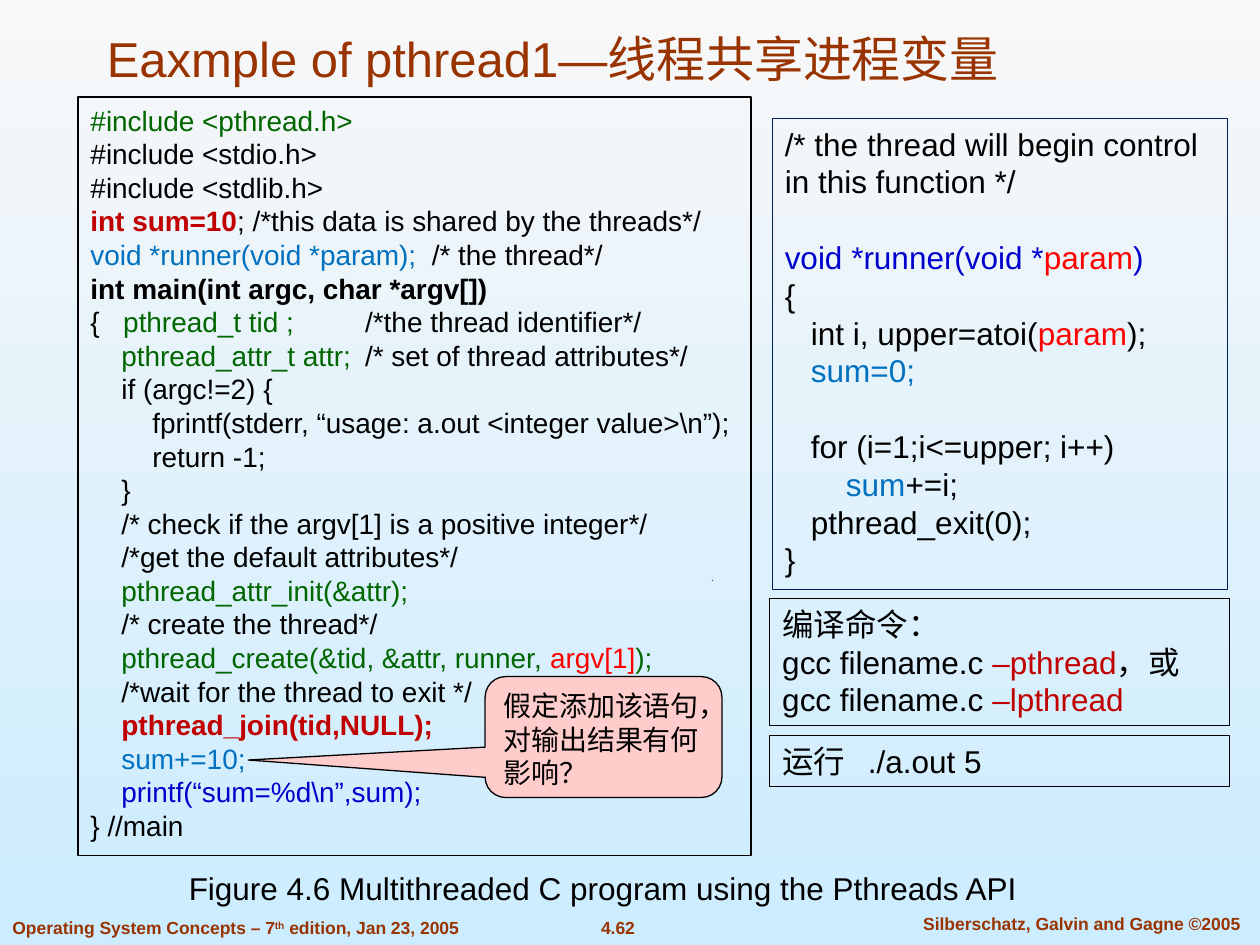
"""Build the slide on sharing process variables between Pthreads."""
import pptx
import pptx.dml.color
import pptx.enum.shapes
import pptx.enum.text
import pptx.oxml
import pptx.oxml.ns
import pptx.util

Color = pptx.dml.color.RGBColor
Inches = pptx.util.Inches
Shape = pptx.enum.shapes.MSO_SHAPE
Align = pptx.enum.text.PP_ALIGN
Anchor = pptx.enum.text.MSO_ANCHOR

BLACK = Color(0x00, 0x00, 0x00)
BROWN = Color(0x99, 0x33, 0x00)
GREEN = Color(0x00, 0x66, 0x00)
CRIMSON = Color(0xC0, 0x00, 0x00)
RED = Color(0xFF, 0x00, 0x00)
SKY = Color(0x00, 0x70, 0xC0)
BLUE = Color(0x00, 0x00, 0xCC)
NAVY = Color(0x00, 0x20, 0x60)
PINK = Color(0xFF, 0xCC, 0xCC)
PAPER = Color(0xF8, 0xF8, 0xF8)
ICE = Color(0xCC, 0xEC, 0xFF)

FONT = "Arial"
LEADING = 1.2
BOLD = {"bold": True}
SUPER = {"raised": True}

TITLE = "Eaxmple of pthread1—线程共享进程变量"
MAIN_CODE = [
    [("#include <pthread.h>", GREEN)],
    "#include <stdio.h>",
    "#include <stdlib.h>",
    [("int sum=10", CRIMSON, BOLD), "; /*this data is shared by the threads*/"],
    [("void *runner(void *param);\t", SKY), "/* the thread*/"],
    [("int main(int argc, char *argv[])", BLACK, BOLD)],
    ["{\t", ("pthread_t tid ;\t", GREEN), "/*the thread identifier*/"],
    [("    pthread_attr_t attr;\t", GREEN), "/* set of thread attributes*/"],
    "    if (argc!=2) {",
    "        fprintf(stderr, “usage: a.out <integer value>\\n”);",
    "        return -1;",
    "    }",
    "    /* check if the argv[1] is a positive integer*/",
    "    /*get the default attributes*/",
    [("    pthread_attr_init(&attr);", GREEN)],
    "    /* create the thread*/",
    [("    pthread_create(&tid, &attr, runner, ", GREEN), ("argv[1]", RED), (");", GREEN)],
    "    /*wait for the thread to exit */",
    [("    pthread_join(tid,NULL);", CRIMSON, BOLD)],
    [("    sum+=10;", SKY)],
    [("    printf(“sum=%d\\n”,sum);", BLUE)],
    "} //main",
]
RUNNER_CODE = [
    "/* the thread will begin control in this function */",
    [("void *runner(void *", BLUE), ("param", RED), (")", BLUE)],
    "{",
    ["   int i, upper=atoi(", ("param", RED), ");"],
    [("   sum=0;", SKY)],
    "   for (i=1;i<=upper; i++)",
    [("       sum", SKY), "+=i;"],
    "   pthread_exit(0);",
    "}",
]
RUNNER_SECTIONS = (1, 5)
COMPILE = [
    "编译命令：",
    ["gcc filename.c ", ("–pthread", CRIMSON), "，或"],
    ["gcc filename.c ", ("–lpthread", CRIMSON)],
]
RUN = ["运行\t./a.out 5"]
QUESTION = ["假定添加该语句，对输出结果有何影响？"]
CAPTION = ["Figure 4.6 Multithreaded C program using the Pthreads API"]
EDITION = [["Operating System Concepts – 7", ("th", BROWN, SUPER), " edition, Jan 23, 2005"]]

FOOTERS = [
    (EDITION, (0, 7.23, 4.21, 0.27), Align.LEFT),
    (["4.62"], (4.64, 7.23, 0.53, 0.27), Align.CENTER),
    (["Silberschatz, Galvin and Gagne ©2005"], (7.1, 7.2, 2.97, 0.27), Align.CENTER),
]
PANELS = [
    (MAIN_CODE, (0.62, 0.77, 5.34, 6.02), BLACK, {"size": 16, "tabs": (0.26, 2.18, 2.71)}),
    (RUNNER_CODE, (6.13, 0.94, 3.61, 3.74), NAVY, {"sections": RUNNER_SECTIONS}),
    (COMPILE, (6.11, 4.75, 3.65, 1.01), BLACK, {}),
    (RUN, (6.11, 5.84, 3.65, 0.4), BLACK, {"tabs": (0.68,)}),
]


def write(box, lines, size=18, color=BLACK, bold=False, align=Align.LEFT,
          anchor=Anchor.TOP, wrap=True, tabs=(), sections=()):
    """Fill a box with lines, each a string or a list of strings and styled spans."""
    frame = box.text_frame
    frame.word_wrap = wrap
    frame.vertical_anchor = anchor
    for number, line in enumerate(lines):
        para = frame.add_paragraph() if number else frame.paragraphs[0]
        para.alignment = align
        para.line_spacing = pptx.util.Pt(size * LEADING)
        if number in sections:
            para.space_before = pptx.util.Pt(size * LEADING)
        if tabs:
            stops = "".join(f'<a:tab pos="{Inches(stop)}" algn="l"/>' for stop in tabs)
            namespace = pptx.oxml.ns.nsdecls("a")
            para._p.get_or_add_pPr().append(
                pptx.oxml.parse_xml(f"<a:tabLst {namespace}>{stops}</a:tabLst>"))
        for part in [line] if isinstance(line, str) else line:
            text, tint, *style = (part, color) if isinstance(part, str) else part
            style = style[0] if style else {}
            span = para.add_run()
            span.text = text
            span.font.name = FONT
            span.font.size = pptx.util.Pt(size)
            span.font.bold = style.get("bold", bold)
            span.font.color.rgb = tint
            if style.get("raised"):
                span._r.get_or_add_rPr().set("baseline", "30000")


def add_text(page, place, lines, **style):
    """Add a text box at a place in inches."""
    write(page.shapes.add_textbox(*map(Inches, place)), lines, **style)


def add_panel(page, kind, place, line, fill=None):
    """Add an outlined shape at a place in inches."""
    panel = page.shapes.add_shape(kind, *map(Inches, place))
    panel.shadow.inherit = False
    panel.line.color.rgb = line
    panel.line.width = pptx.util.Pt(0.75)
    if fill is None:
        panel.fill.background()
    else:
        panel.fill.solid()
        panel.fill.fore_color.rgb = fill
    return panel


def add_speck(page, left, top, side):
    """Add a tiny dark triangle."""
    builder = page.shapes.build_freeform(Inches(left), Inches(top + side))
    builder.add_line_segments([(Inches(left + side), Inches(top)),
                               (Inches(left + side / 2), Inches(top + side))])
    speck = builder.convert_to_shape()
    speck.shadow.inherit = False
    speck.fill.solid()
    speck.fill.fore_color.rgb = BLACK
    speck.line.fill.background()


def main():
    """Assemble and save the deck."""
    deck = pptx.Presentation()
    deck.slide_width, deck.slide_height = Inches(10), Inches(7.5)
    page = deck.slides.add_slide(deck.slide_layouts[6])

    backdrop = page.background.fill
    backdrop.gradient()
    backdrop.gradient_angle = 270
    for stop, color in zip(backdrop.gradient_stops, (PAPER, ICE)):
        stop.color.rgb = color

    add_speck(page, 5.65, 4.6, 0.01)
    for lines, place, align in FOOTERS:
        add_text(page, place, lines, size=10, color=BROWN, bold=True, align=align,
                 wrap=False)
    add_text(page, (0.75, 0.25, 8.83, 0.49), [TITLE], size=28, color=BROWN,
             anchor=Anchor.BOTTOM)
    for lines, place, line, style in PANELS:
        write(add_panel(page, Shape.RECTANGLE, place, line), lines, **style)
    add_text(page, (1.4, 6.85, 7.34, 0.4), CAPTION)

    callout = add_panel(page, Shape.ROUNDED_RECTANGULAR_CALLOUT,
                        (3.85, 5.37, 1.88, 0.96), BLACK, PINK)
    for index, value in enumerate((-1.5, 0.19, 0.17)):
        callout.adjustments[index] = value
    write(callout, QUESTION, size=16)

    deck.save("out.pptx")


if __name__ == "__main__":
    main()
